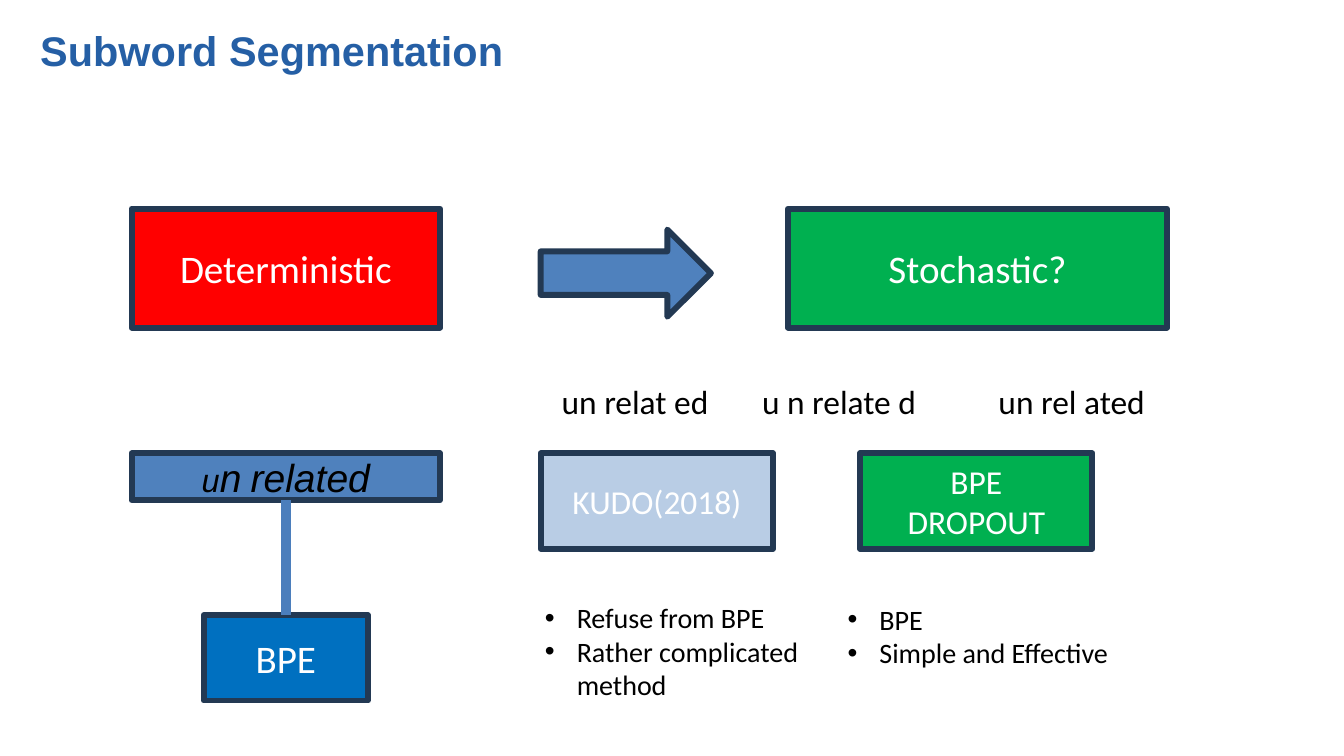
from dataclasses import dataclass

from lxml import etree
from pptx import Presentation
from pptx.dml.color import RGBColor
from pptx.enum.shapes import MSO_CONNECTOR, MSO_SHAPE
from pptx.enum.text import MSO_ANCHOR, MSO_AUTO_SIZE, PP_ALIGN
from pptx.oxml.ns import qn
from pptx.slide import Slide
from pptx.text.text import TextFrame, _Paragraph
from pptx.util import Cm, Pt

RECT, ARROW = MSO_SHAPE.RECTANGLE, MSO_SHAPE.RIGHT_ARROW
STRAIGHT = MSO_CONNECTOR.STRAIGHT
TOP, MIDDLE = MSO_ANCHOR.TOP, MSO_ANCHOR.MIDDLE
LEFT, CENTER = PP_ALIGN.LEFT, PP_ALIGN.CENTER
FIXED, GROW = MSO_AUTO_SIZE.NONE, MSO_AUTO_SIZE.SHAPE_TO_FIT_TEXT

WHITE = RGBColor(0xFF, 0xFF, 0xFF)
BLACK = RGBColor(0x00, 0x00, 0x00)
RED = RGBColor(0xFF, 0x00, 0x00)
GREEN = RGBColor(0x00, 0xB0, 0x50)
BLUE = RGBColor(0x4F, 0x81, 0xBD)
DEEP_BLUE = RGBColor(0x00, 0x70, 0xC0)
PALE_BLUE = RGBColor(0xB9, 0xCD, 0xE5)
NAVY = RGBColor(0x23, 0x39, 0x53)
LINK_BLUE = RGBColor(0x4B, 0x7E, 0xBC)
TITLE_BLUE = RGBColor(0x25, 0x5F, 0xA5)

HEADING_TOP, METHOD_TOP = 2.49, 5.41
LEFT_COL, MID_COL = 1.57, 6.45
LEFT_W = 3.68
LEFT_AXIS = LEFT_COL + LEFT_W / 2
SEGMENT_H = 0.56
BPE_TOP, BPE_W = 7.34, 1.96
BULLET_INDENT = Cm(0.38)


@dataclass(frozen=True)
class Run:
    text: str
    size: float
    color: RGBColor = WHITE
    font: str = "Calibri"
    bold: bool = False
    italic: bool = False


@dataclass(frozen=True)
class Box:
    x: float
    y: float
    w: float
    h: float
    fill: RGBColor
    runs: tuple[Run, ...] = ()
    kind: MSO_SHAPE = RECT
    tight: bool = False


@dataclass(frozen=True)
class Note:
    x: float
    y: float
    w: float
    h: float
    size: float
    lines: tuple[str, ...]
    bullets: bool = False
    tabs: tuple[float, ...] = ()


def segment_run(text: str, size: float) -> Run:
    return Run(text, size, BLACK, "Arial", italic=True)


BOXES = (
    Box(LEFT_COL, HEADING_TOP, LEFT_W, 1.42, RED, (Run("Deterministic", 13.2),)),
    Box(LEFT_COL, METHOD_TOP, LEFT_W, SEGMENT_H, BLUE,
        (segment_run("u", 11), segment_run("n", 13.2),
         segment_run(" ", 11), segment_run("related", 13.2)), tight=True),
    Box(LEFT_AXIS - BPE_W / 2, BPE_TOP, BPE_W, 1.02, DEEP_BLUE, (Run("BPE", 13.2),)),
    Box(MID_COL, 2.74, 2.03, 1.04, BLUE, kind=ARROW),
    Box(9.4, HEADING_TOP, 4.52, 1.42, GREEN, (Run("Stochastic?", 13.2),)),
    Box(MID_COL, METHOD_TOP, 2.77, 1.14, PALE_BLUE, (Run("KUDO(2018)", 11.3),)),
    Box(10.26, METHOD_TOP, 2.77, 1.14, GREEN, (Run("BPE DROPOUT", 11.3),)),
)
NOTES = (
    Note(MID_COL, 4.42, 8.1, 0.74, 11.3,
         ("un relat ed\tu n relate d\tun rel ated",), tabs=(2.39, 5.21)),
    Note(6.25, 7.04, 3.86, 1.47, 9.5,
         ("Refuse from BPE", "Rather complicated method"), bullets=True),
    Note(9.86, 7.06, 3.86, 1.07, 9.5,
         ("BPE", "Simple and Effective"), bullets=True),
)


def add_run(p: _Paragraph, run: Run) -> None:
    r = p.add_run()
    r.text = run.text
    r.font.name = run.font
    r.font.size = Pt(run.size)
    r.font.bold = run.bold
    r.font.italic = run.italic
    r.font.color.rgb = run.color


def clear_margins(tf: TextFrame) -> None:
    tf.margin_left = tf.margin_right = tf.margin_top = tf.margin_bottom = 0


def set_bullet(p: _Paragraph) -> None:
    pPr = p._p.get_or_add_pPr()
    pPr.set("marL", str(BULLET_INDENT))
    pPr.set("indent", str(-BULLET_INDENT))
    etree.SubElement(pPr, qn("a:buFont"), typeface="Arial")
    etree.SubElement(pPr, qn("a:buChar"), char="•")


def set_tabs(p: _Paragraph, stops: tuple[float, ...]) -> None:
    tabs = etree.SubElement(p._p.get_or_add_pPr(), qn("a:tabLst"))
    for stop in stops:
        etree.SubElement(tabs, qn("a:tab"), pos=str(Cm(stop)), algn="l")


def add_title(s: Slide) -> None:
    sp = s.shapes.title
    sp.left, sp.top, sp.width, sp.height = Cm(0.48), Cm(0.3), Cm(6.88), Cm(0.74)
    tf = sp.text_frame
    tf.auto_size = FIXED
    tf.vertical_anchor = TOP
    clear_margins(tf)
    p = tf.paragraphs[0]
    p.alignment = LEFT
    add_run(p, Run("Subword Segmentation", 14, TITLE_BLUE, "Arial", bold=True))


def add_box(s: Slide, box: Box) -> None:
    sp = s.shapes.add_shape(box.kind, Cm(box.x), Cm(box.y), Cm(box.w), Cm(box.h))
    sp.shadow.inherit = False
    sp.fill.solid()
    sp.fill.fore_color.rgb = box.fill
    sp.line.color.rgb = NAVY
    sp.line.width = Pt(2)
    tf = sp.text_frame
    tf.word_wrap = True
    tf.vertical_anchor = MIDDLE
    if box.tight:
        clear_margins(tf)
    p = tf.paragraphs[0]
    p.alignment = CENTER
    for run in box.runs:
        add_run(p, run)


def add_note(s: Slide, note: Note) -> None:
    sp = s.shapes.add_textbox(Cm(note.x), Cm(note.y), Cm(note.w), Cm(note.h))
    tf = sp.text_frame
    tf.word_wrap = True
    tf.auto_size = GROW
    for i, line in enumerate(note.lines):
        p = tf.add_paragraph() if i else tf.paragraphs[0]
        if note.bullets:
            set_bullet(p)
        if note.tabs:
            set_tabs(p, note.tabs)
        add_run(p, Run(line, note.size, BLACK))


def add_link(s: Slide) -> None:
    x = Cm(LEFT_AXIS)
    link = s.shapes.add_connector(STRAIGHT, x, Cm(METHOD_TOP + SEGMENT_H), x, Cm(BPE_TOP))
    link.line.color.rgb = LINK_BLUE
    link.line.width = Pt(3.5)
    etree.SubElement(link._element.spPr, qn("a:effectLst"))


def main() -> None:
    prs = Presentation()
    prs.slide_width, prs.slide_height = Cm(16.03), Cm(9.02)
    s = prs.slides.add_slide(prs.slide_layouts[5])
    add_title(s)
    for box in BOXES:
        add_box(s, box)
    add_link(s)
    for note in NOTES:
        add_note(s, note)
    prs.save("out.pptx")


if __name__ == "__main__":
    main()
